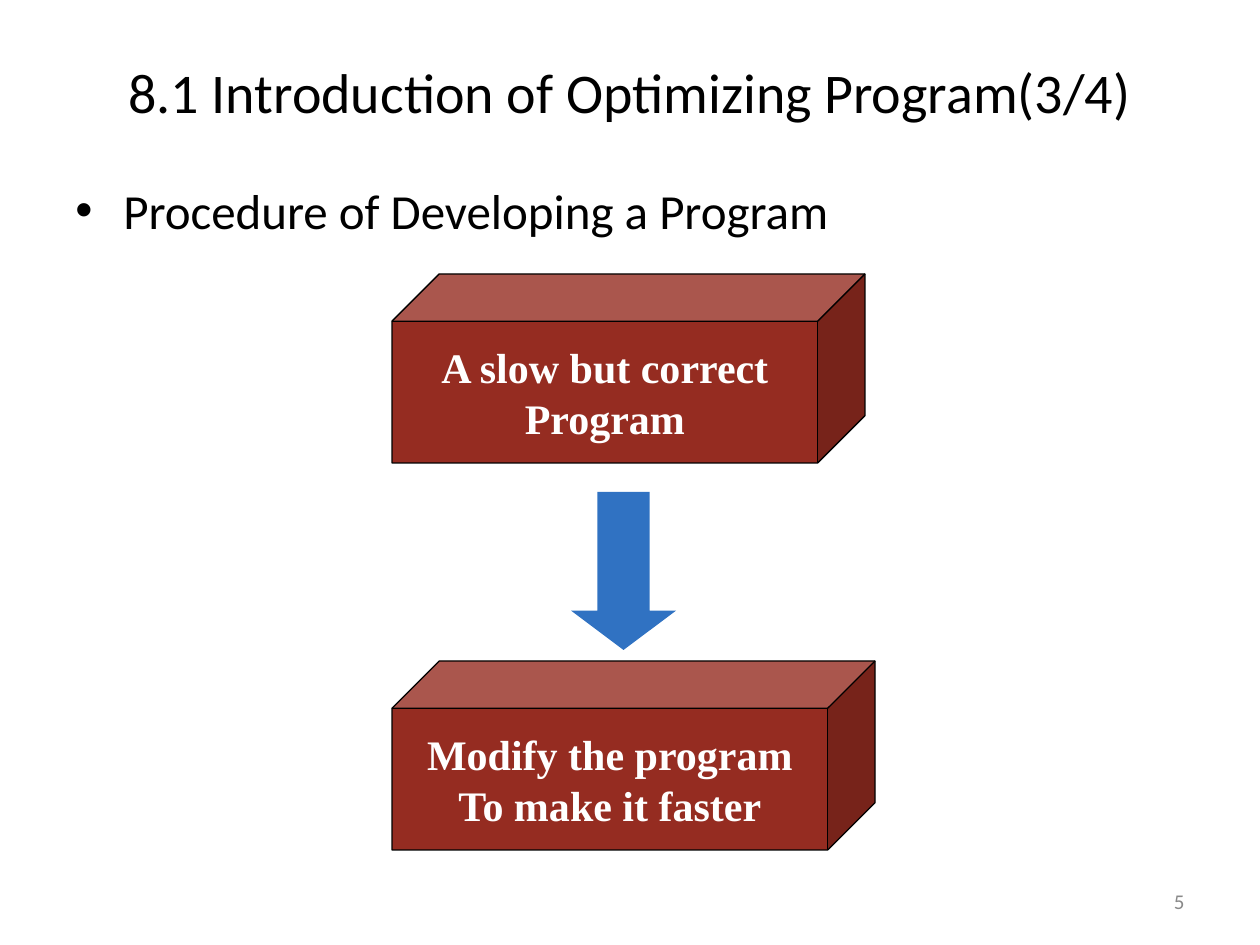
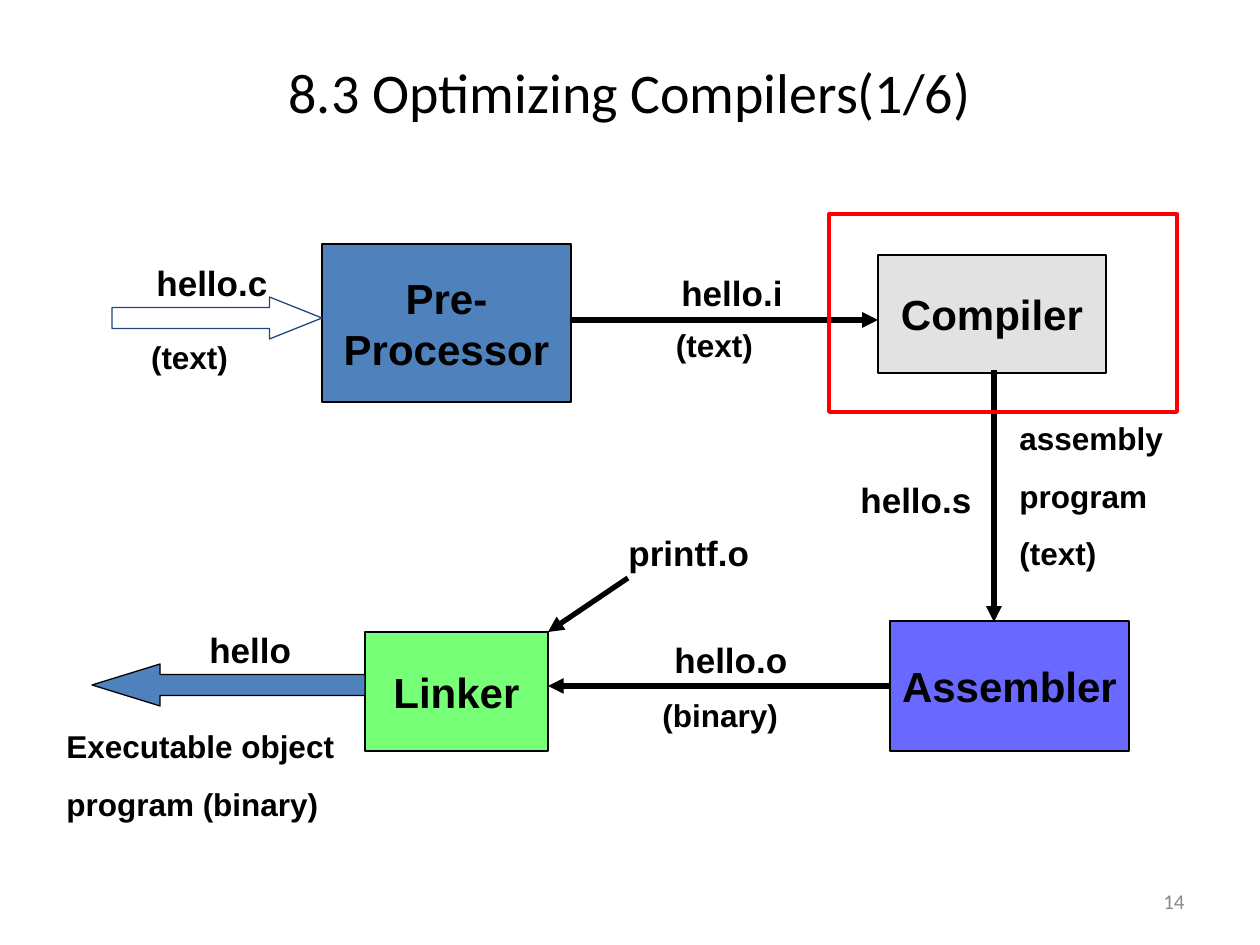
import pptx
import pptx.dml.color
import pptx.enum.shapes
import pptx.enum.text
import pptx.oxml
import pptx.oxml.ns
import pptx.util

SHAPE = pptx.enum.shapes.MSO_SHAPE
ALIGN = pptx.enum.text.PP_ALIGN
ANCHOR = pptx.enum.text.MSO_ANCHOR
FIT = pptx.enum.text.MSO_AUTO_SIZE
PX_PER_INCH = 126
BLACK, WHITE, GREY = "000000", "FFFFFF", "898989"
RED_BRICK, BLUE = "952C21", "4F81BD"

# Text styles: font, size, bold, colour, then frame and paragraph formats
MIDDLE = {"vertical_anchor": ANCHOR.MIDDLE, "word_wrap": True}
MIDDLE_UNWRAPPED = {"vertical_anchor": ANCHOR.MIDDLE, "word_wrap": False}
GROWING = {"word_wrap": True, "auto_size": FIT.SHAPE_TO_FIT_TEXT}
CENTRED = {"alignment": ALIGN.CENTER}
KIND_FONT = ("Arial", 18, True, BLACK)
STYLES = {
    "title": (("Calibri", 32, False, BLACK), MIDDLE, CENTRED),
    "number": (("Calibri", 12, False, GREY), MIDDLE, {"alignment": ALIGN.RIGHT}),
    "body": (("Calibri", 28, False, BLACK), {"word_wrap": True}, {}),
    "cube": (("Times New Roman", 24, True, WHITE), MIDDLE_UNWRAPPED, CENTRED),
    "stage": (("Arial", 24, True, BLACK), MIDDLE_UNWRAPPED, CENTRED),
    "file": (("Arial", 20, True, BLACK), GROWING, {}),
    "kind": (KIND_FONT, GROWING, {}),
    "kind centred": (KIND_FONT, GROWING, CENTRED),
    "kind tight": (KIND_FONT, GROWING, {**CENTRED, "line_spacing": 0.8}),
}
PARAGRAPH_GAP = {"kind": 11.2}

# Shared places: left, top, width, height
TITLE_BOX = (0, 38, 1260, 107)
NUMBER_BOX = (903, 876, 294, 50)
BODY_BOX = (63, 174, 1134, 669)
BULLET_INDENT = 48

# Slide 1: procedure
PROCEDURE = ["Procedure of Developing a Program"]
CUBES = [
    ((392, 274, 473, 189), ["A slow but correct", "Program"]),
    ((392, 661, 483, 189), ["Modify the program", "To make it faster"]),
]
STEP_ARROW = (571, 492, 105, 158)

# Slide 2: compilation stages
STAGES = {
    "pre": ((322, 244, 249, 158), BLUE, ["Pre-", "Processor"]),
    "compiler": ((878, 255, 228, 118), "E2E2E2", ["Compiler"]),
    "assembler": ((890, 621, 239, 130), "6969FF", ["Assembler"]),
    "linker": ((365, 632, 183, 119), "77FF77", ["Linker"]),
}
# File names have some spare width so that they stay on one line
LABELS = [
    ("file", (144, 255, 144, 55), ["hello.c"]),
    ("kind tight", (92, 339, 195, 43), ["(text)"]),
    ("file", (669, 265, 140, 55), ["hello.i"]),
    ("kind centred", (640, 320, 149, 50), ["(text)"]),
    ("file", (848, 472, 144, 55), ["hello.s"]),
    ("kind", (1007, 413, 193, 166), ["assembly", "program", "(text)"]),
    ("file", (662, 632, 148, 55), ["hello.o"]),
    ("kind", (650, 690, 155, 50), ["(binary)"]),
    ("file", (616, 525, 156, 55), ["printf.o"]),
    ("file", (197, 622, 116, 55), ["hello"]),
    ("kind", (54, 721, 297, 108), ["Executable object", "program (binary)"]),
]
# Start, end, stage joined at the start with its side
FLOWS = [
    ((571, 320), (878, 320), None),
    ((994, 370), (994, 622), None),
    ((890, 686), (548, 686), ("assembler", 1)),
    ((628, 578), (548, 632), None),
]
# Shape, place, fill, line, line width, adjustments
OUTER_PARTS = [
    (SHAPE.RIGHT_ARROW, (112, 297, 210, 42), None, "1F497D", 0.75, (0.5, 1.25)),
    (SHAPE.LEFT_ARROW, (92, 664, 273, 42), BLUE, BLACK, 0.75, (0.5, 1.62)),
    (SHAPE.RECTANGLE, (829, 214, 348, 198), None, "FF0000", 2.25, ()),
]


def px(n):
    return pptx.util.Emu(round(n * 914400 / PX_PER_INCH))


def rgb(text):
    return pptx.dml.color.RGBColor.from_string(text)


def set_all(target, values):
    for name, value in values.items():
        setattr(target, name, value)


def write(sp, style, lines):
    (face, size, bold, colour), frame, paragraph = STYLES[style]
    tf = sp.text_frame
    set_all(tf, frame)
    for i, line in enumerate(lines):
        p = tf.paragraphs[0] if i == 0 else tf.add_paragraph()
        set_all(p, paragraph)
        if i and style in PARAGRAPH_GAP:
            p.space_before = pptx.util.Pt(PARAGRAPH_GAP[style])
        r = p.add_run()
        r.text = line
        set_all(r.font, {"name": face, "size": pptx.util.Pt(size), "bold": bold})
        r.font.color.rgb = rgb(colour)


def add_text(slide, style, box, lines):
    sp = slide.shapes.add_textbox(*map(px, box))
    write(sp, style, lines)
    return sp


def add_shape(slide, kind, box, fill=None, line=None, width=0.75, adjustments=()):
    sp = slide.shapes.add_shape(kind, *map(px, box))
    sp.shadow.inherit = False
    for i, value in enumerate(adjustments):
        sp.adjustments[i] = value
    for part, colour in ((sp.fill, fill), (sp.line.fill, line)):
        if colour:
            part.solid()
            part.fore_color.rgb = rgb(colour)
        else:
            part.background()
    if line:
        sp.line.width = pptx.util.Pt(width)
    return sp


def add_flow(slide, start, end):
    line = slide.shapes.add_connector(
        pptx.enum.shapes.MSO_CONNECTOR.STRAIGHT, *map(px, start + end))
    line.line.color.rgb = rgb(BLACK)
    line.line.width = pptx.util.Pt(3)
    ln = line.line._get_or_add_ln()
    ln.append(pptx.oxml.parse_xml(
        f'<a:tailEnd {pptx.oxml.ns.nsdecls("a")} type="triangle"/>'))
    line._element.spPr.append(pptx.oxml.parse_xml(
        f'<a:effectLst {pptx.oxml.ns.nsdecls("a")}/>'))
    return line


def add_bullet(p):
    pPr = p._p.get_or_add_pPr()
    pPr.set("marL", str(px(BULLET_INDENT)))
    pPr.set("indent", str(-px(BULLET_INDENT)))
    for xml in ('<a:buFont {} typeface="Arial"/>', '<a:buChar {} char="•"/>'):
        pPr.append(pptx.oxml.parse_xml(xml.format(pptx.oxml.ns.nsdecls("a"))))


def new_slide(prs, title, number):
    slide = prs.slides.add_slide(prs.slide_layouts[6])
    add_text(slide, "number", NUMBER_BOX, [number])
    add_text(slide, "title", TITLE_BOX, [title])
    return slide


def build_procedure(prs):
    slide = new_slide(prs, "8.1 Introduction of Optimizing Program(3/4)", "5")
    body = add_text(slide, "body", BODY_BOX, PROCEDURE)
    for p in body.text_frame.paragraphs:
        add_bullet(p)
    for box, lines in CUBES:
        cube = add_shape(slide, SHAPE.CUBE, box, RED_BRICK, BLACK, adjustments=(0.25,))
        write(cube, "cube", lines)
    add_shape(slide, SHAPE.DOWN_ARROW, STEP_ARROW, "3072C2", adjustments=(0.5, 0.375))


def build_compilation(prs):
    slide = new_slide(prs, "8.3 Optimizing Compilers(1/6)", "14")
    stages = {}
    for name, (box, fill, lines) in STAGES.items():
        stages[name] = add_shape(slide, SHAPE.RECTANGLE, box, fill, BLACK)
        write(stages[name], "stage", lines)
    for label in LABELS:
        add_text(slide, *label)
    for start, end, joined in FLOWS:
        line = add_flow(slide, start, end)
        if joined:
            name, side = joined
            line.begin_connect(stages[name], side)
    for part in OUTER_PARTS:
        add_shape(slide, *part)


def main():
    prs = pptx.Presentation()
    prs.slide_width, prs.slide_height = px(1260), px(945)
    build_procedure(prs)
    build_compilation(prs)
    prs.save("out.pptx")


if __name__ == "__main__":
    main()
